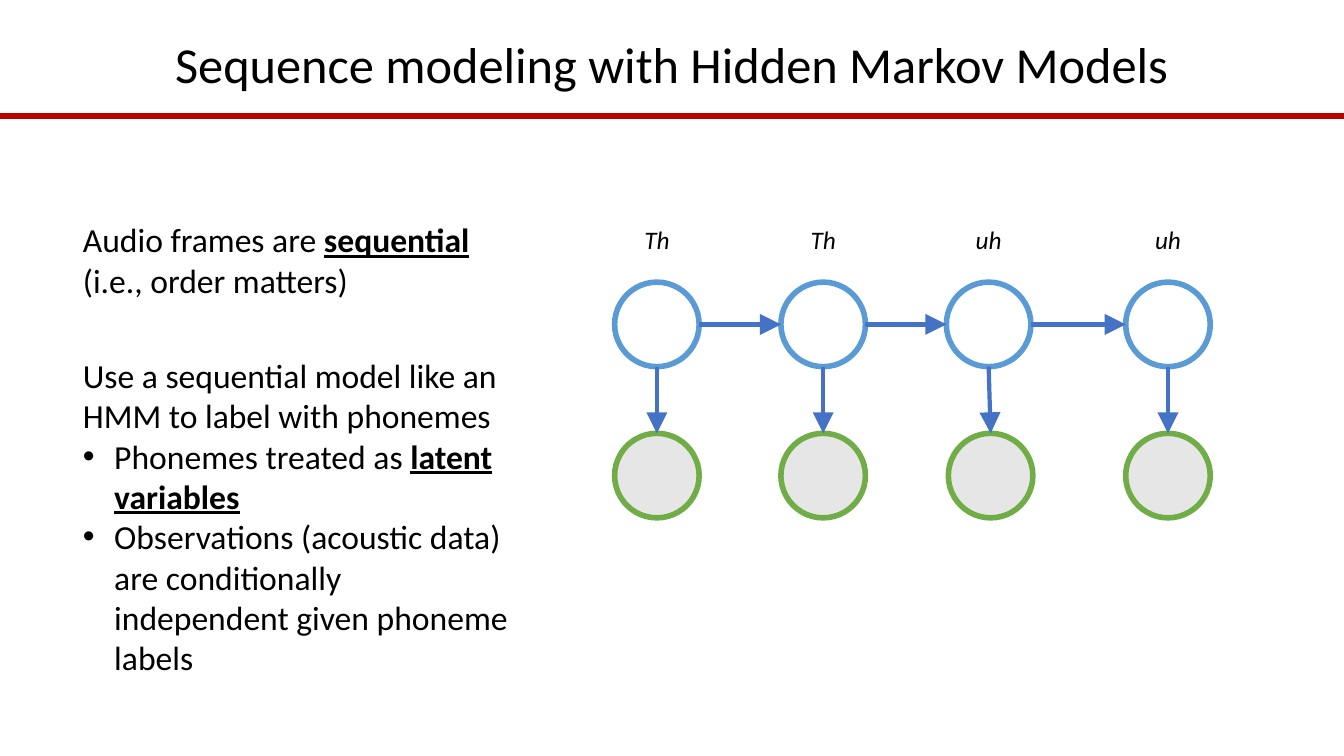
from dataclasses import dataclass

from lxml.etree import SubElement
from pptx import Presentation
from pptx.dml.color import RGBColor
from pptx.enum.shapes import MSO_CONNECTOR, MSO_SHAPE
from pptx.enum.text import MSO_ANCHOR, PP_ALIGN
from pptx.oxml.ns import qn
from pptx.util import Cm, Pt


@dataclass(frozen=True)
class Theme:
    font: str = "Calibri"
    text: str = "000000"
    rule: str = "BB0000"
    arrow: str = "4472C4"
    hidden: str = "5B9BD5"
    observed: str = "70AD47"
    observed_fill: str = "E7E6E6"
    title_size: int = 36
    body_size: int = 24
    label_size: int = 18
    outline: int = 4
    arrow_width: int = 3


THEME = Theme()
WIDTH, HEIGHT = 33.87, 19.05
RULE_TOP = 2.92
DIAMETER = 2.13
LABEL_TOP, HIDDEN_TOP, OBSERVED_TOP = 5.54, 7.11, 10.92
LABEL_WIDTH, LABEL_HEIGHT = 1.4, 1.02
# phoneme, left of its state, left of its observation
STEPS = [
    ("Th", 15.49, 15.49),
    ("Th", 19.68, 19.68),
    ("uh", 23.85, 23.9),
    ("uh", 28.37, 28.37),
]


def color(value):
    return RGBColor.from_string(value)


def style_font(font, size):
    font.name = THEME.font
    font.size = Pt(size)
    font.color.rgb = color(THEME.text)


def set_title(page, text):
    title = page.shapes.title
    title.left, title.top, title.width, title.height = Cm(2.33), Cm(0.86), Cm(29.21), Cm(1.68)
    title.text_frame.text = text
    title.text_frame.vertical_anchor = MSO_ANCHOR.MIDDLE
    para = title.text_frame.paragraphs[0]
    para.alignment = PP_ALIGN.CENTER
    para.line_spacing = 0.9
    style_font(para.runs[0].font, THEME.title_size)


def add_line(page, start, end, line_color, width, arrow=False):
    line = page.shapes.add_connector(
        MSO_CONNECTOR.STRAIGHT, *(Cm(value) for value in (*start, *end))
    )
    line.line.color.rgb = color(line_color)
    line.line.width = Pt(width)
    properties = line._element.spPr
    if arrow:
        SubElement(properties.find(qn("a:ln")), qn("a:tailEnd"),
                   type="triangle", w="lg", len="lg")
    SubElement(properties, qn("a:effectLst"))


def add_node(page, left, top, outline, fill=None):
    node = page.shapes.add_shape(
        MSO_SHAPE.OVAL, Cm(left), Cm(top), Cm(DIAMETER), Cm(DIAMETER)
    )
    node.shadow.inherit = False
    if fill:
        node.fill.solid()
        node.fill.fore_color.rgb = color(fill)
    else:
        node.fill.background()
    node.line.color.rgb = color(outline)
    node.line.width = Pt(THEME.outline)


def add_label(page, center, text):
    box = page.shapes.add_textbox(
        Cm(center - LABEL_WIDTH / 2), Cm(LABEL_TOP), Cm(LABEL_WIDTH), Cm(LABEL_HEIGHT)
    )
    box.text_frame.word_wrap = False
    box.text_frame.text = text
    para = box.text_frame.paragraphs[0]
    para.alignment = PP_ALIGN.CENTER
    style_font(para.runs[0].font, THEME.label_size)
    para.runs[0].font.italic = True


def add_bullet(para):
    properties = para._p.get_or_add_pPr()
    indent = Cm(0.79)
    properties.set("marL", str(indent))
    properties.set("indent", str(-indent))
    SubElement(properties, qn("a:buFont"), typeface="Arial")
    SubElement(properties, qn("a:buChar"), char="•")


def add_body(page, left, top, width, height, paragraphs):
    """Each paragraph is (bulleted, spans); every second span is a key term."""
    box = page.shapes.add_textbox(Cm(left), Cm(top), Cm(width), Cm(height))
    frame = box.text_frame
    frame.word_wrap = True
    for index, (bulleted, spans) in enumerate(paragraphs):
        para = frame.add_paragraph() if index else frame.paragraphs[0]
        if bulleted:
            add_bullet(para)
        for position, text in enumerate(spans):
            span = para.add_run()
            span.text = text
            style_font(span.font, THEME.body_size)
            if position % 2:
                span.font.bold = span.font.underline = True


def add_markov_chain(page):
    radius = DIAMETER / 2
    middle = HIDDEN_TOP + radius
    for phoneme, state, observation in STEPS:
        add_label(page, state + radius, phoneme)
        add_node(page, state, HIDDEN_TOP, THEME.hidden)
        add_node(page, observation, OBSERVED_TOP, THEME.observed, THEME.observed_fill)
        add_line(page, (state + radius, HIDDEN_TOP + DIAMETER),
                 (observation + radius, OBSERVED_TOP),
                 THEME.arrow, THEME.arrow_width, arrow=True)
    for (_, state, _), (_, following, _) in zip(STEPS, STEPS[1:]):
        add_line(page, (state + DIAMETER, middle), (following, middle),
                 THEME.arrow, THEME.arrow_width, arrow=True)


def main():
    deck = Presentation()
    deck.slide_width, deck.slide_height = Cm(WIDTH), Cm(HEIGHT)
    page = deck.slides.add_slide(deck.slide_layouts.get_by_name("Title Only"))
    set_title(page, "Sequence modeling with Hidden Markov Models")
    add_line(page, (0, RULE_TOP), (WIDTH, RULE_TOP), THEME.rule, THEME.outline)
    add_markov_chain(page)
    add_body(page, 1.84, 5.4, 10.34, 2.31, [
        (False, ["Audio frames are ", "sequential", " (i.e., order matters)"]),
    ])
    add_body(page, 1.84, 8.82, 11.51, 8.46, [
        (False, ["Use a sequential model like an HMM to label with phonemes"]),
        (True, ["Phonemes treated as ", "latent variables"]),
        (True, ["Observations (acoustic data) are conditionally independent "
                "given phoneme labels"]),
    ])
    deck.save("out.pptx")


if __name__ == "__main__":
    main()
